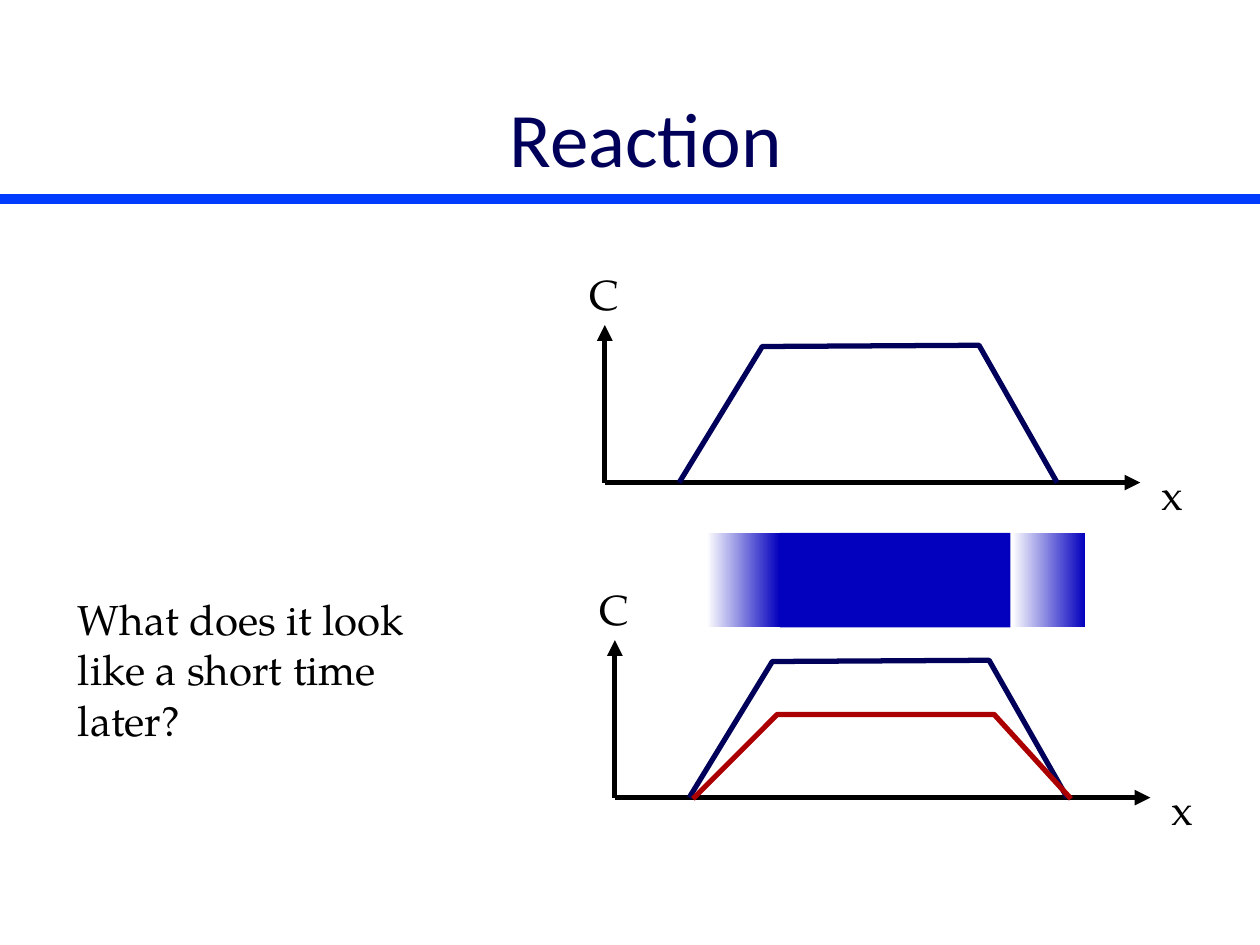
from dataclasses import dataclass

from lxml.etree import SubElement
from pptx import Presentation
from pptx.dml.color import RGBColor
from pptx.enum.shapes import MSO_CONNECTOR, MSO_SHAPE
from pptx.enum.text import MSO_ANCHOR, MSO_AUTO_SIZE, PP_ALIGN
from pptx.oxml.ns import qn
from pptx.util import Inches, Pt

HUES = {"navy": "00005A", "rule": "003CFE", "ink": "000000",
        "red": "AC0000", "blue": "0300BE", "white": "FFFFFF"}
SERIF = "TeX Gyre Pagella"


@dataclass
class Label:
    text: str
    box: tuple[float, float, float, float]
    font: str = SERIF
    size: int = 24
    hue: str = "ink"
    align: PP_ALIGN = PP_ALIGN.CENTER
    anchor: MSO_ANCHOR = MSO_ANCHOR.MIDDLE
    wrap: bool = False
    grow: bool = True


@dataclass
class Curve:
    points: list[tuple[float, float]]
    hue: str


@dataclass
class Plot:
    left: float
    base: float
    curves: list[Curve]


@dataclass
class Band:
    left: float
    width: float
    fade: bool


def color(name: str) -> RGBColor:
    return RGBColor.from_string(HUES[name])


def write(slide, item: Label) -> None:
    frame = slide.shapes.add_textbox(*map(Inches, item.box)).text_frame
    size = MSO_AUTO_SIZE.SHAPE_TO_FIT_TEXT if item.grow else MSO_AUTO_SIZE.NONE
    look = {"word_wrap": item.wrap, "vertical_anchor": item.anchor, "auto_size": size}
    for key, value in look.items():
        setattr(frame, key, value)
    para = frame.paragraphs[0]
    para.alignment = item.align
    run = para.add_run()
    run.text = item.text
    for key, value in {"name": item.font, "size": Pt(item.size)}.items():
        setattr(run.font, key, value)
    run.font.color.rgb = color(item.hue)


def stroke(shape, hue: str, width: float) -> None:
    shape.line.color.rgb = color(hue)
    shape.line.width = Pt(width)


def rule(slide, start: tuple[float, float], end: tuple[float, float],
         hue: str, width: float, arrow: bool = False) -> None:
    line = slide.shapes.add_connector(
        MSO_CONNECTOR.STRAIGHT, *map(Inches, (*start, *end)))
    stroke(line, hue, width)
    if arrow:
        SubElement(line.line._get_or_add_ln(), qn("a:tailEnd"), type="triangle")
    SubElement(line._element.spPr, qn("a:effectLst"))


def trace(slide, curve: Curve) -> None:
    first, *rest = [(Inches(x), Inches(y)) for x, y in curve.points]
    pen = slide.shapes.build_freeform(*first)
    pen.add_line_segments(rest, close=False)
    shape = pen.convert_to_shape()
    shape.shadow.inherit = False
    shape.fill.background()
    stroke(shape, curve.hue, 3)


def graph(slide, plot: Plot) -> None:
    left, base = plot.left, plot.base
    for end in ((left, base - 1.25), (left + 4.25, base)):
        rule(slide, (left, base), end, "ink", 3, arrow=True)
    write(slide, Label("x", (left + 4.32, base - 0.16, 0.37, 0.5)))
    write(slide, Label("C", (left - 0.22, base - 1.75, 0.44, 0.5)))
    for curve in plot.curves:
        trace(slide, curve)


def paint(slide, band: Band) -> None:
    box = map(Inches, (band.left, 4.23, band.width, 0.75))
    shape = slide.shapes.add_shape(MSO_SHAPE.RECTANGLE, *box)
    shape.shadow.inherit = False
    shape.line.fill.background()
    if not band.fade:
        shape.fill.solid()
        shape.fill.fore_color.rgb = color("blue")
        return
    shape.fill.gradient()
    shape.fill.gradient_angle = 0
    for stop, spot, hue in zip(shape.fill.gradient_stops, (0, 1), ("white", "blue")):
        stop.position = spot
        stop.color.rgb = color(hue)


def main() -> None:
    deck = Presentation()
    deck.slide_width, deck.slide_height = Inches(10), Inches(7.5)
    slide = deck.slides.add_slide(deck.slide_layouts[6])

    # Heading and question
    rule(slide, (0, 1.58), (10, 1.58), "rule", 6)
    write(slide, Label("Reaction", (0.5, 0.25, 9.25, 1.25), "Calibri", 44, "navy",
                       anchor=MSO_ANCHOR.BOTTOM, wrap=True, grow=False))
    write(slide, Label("What does it look like a short time later?",
                       (0.52, 4.66, 3.17, 1.3), align=PP_ALIGN.LEFT,
                       anchor=MSO_ANCHOR.TOP, wrap=True))

    # Concentration before and after
    start = Curve([(5.39, 3.83), (6.05, 2.75), (7.77, 2.74), (8.39, 3.83)], "navy")
    same = Curve([(x + 0.08, y + 2.5) for x, y in start.points], "navy")
    later = Curve([(5.5, 6.34), (6.17, 5.67), (7.89, 5.67), (8.5, 6.34)], "red")
    for plot in (Plot(4.8, 3.83, [start]), Plot(4.88, 6.33, [same, later])):
        graph(slide, plot)

    # Colour strip with faded ends
    for band in (Band(5.61, 0.58, True), Band(8.03, 0.58, True),
                 Band(6.19, 1.83, False)):
        paint(slide, band)

    deck.save("out.pptx")


if __name__ == "__main__":
    main()
